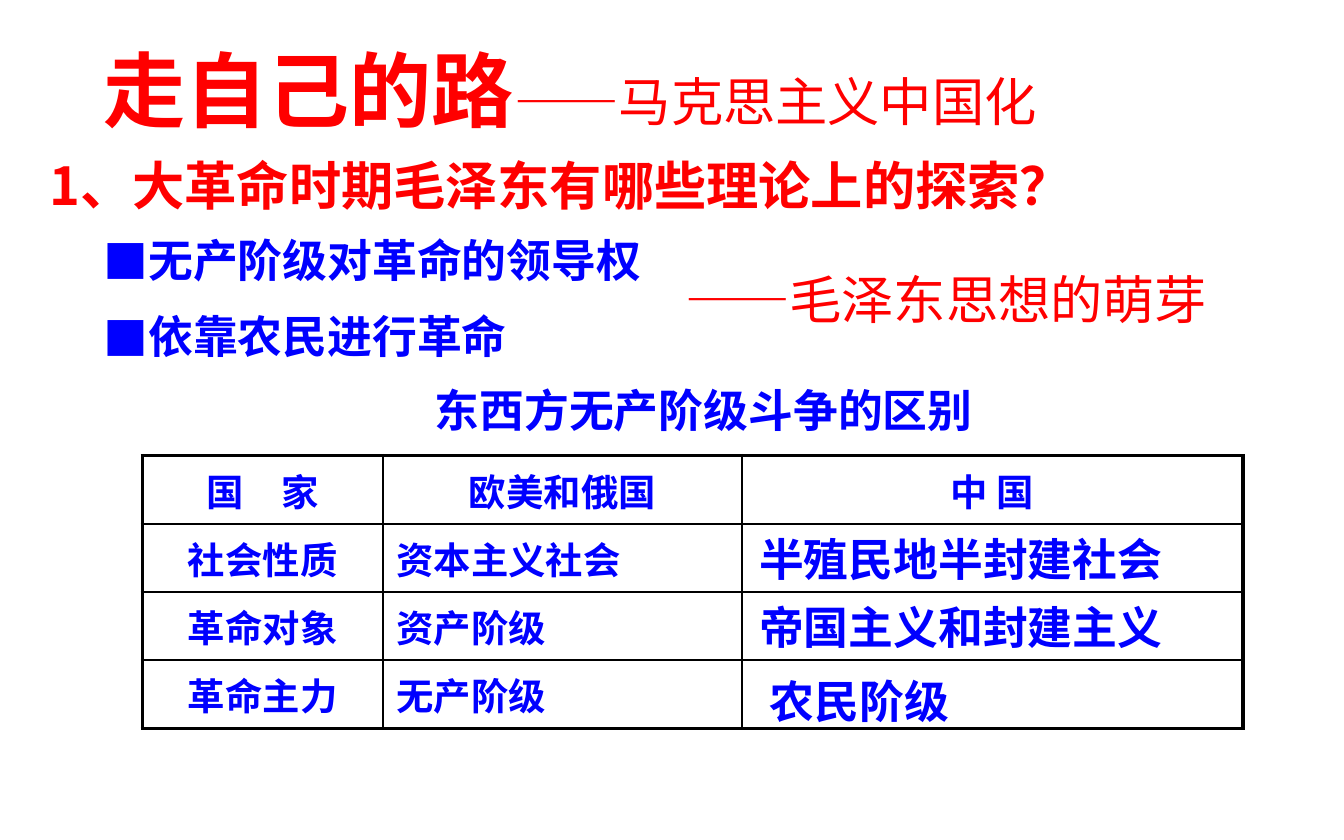
from dataclasses import dataclass

from lxml.etree import SubElement
from pptx import Presentation
from pptx.dml.color import RGBColor
from pptx.enum.text import MSO_ANCHOR, MSO_AUTO_SIZE, PP_ALIGN
from pptx.oxml.ns import qn
from pptx.util import Inches, Pt


@dataclass(frozen=True)
class Theme:
    red: RGBColor = RGBColor(255, 0, 0)
    blue: RGBColor = RGBColor(0, 0, 255)
    border: str = "000000"
    latin: str = "Arial"
    chinese: str = "Noto Sans CJK SC"
    title: int = 44
    heading: int = 28
    body: int = 24
    cell: int = 20
    outer_line: float = 2.25
    inner_line: float = 1


class SlideBuilder:
    COLUMNS, ROWS = 100, 62.5

    def __init__(self, deck, theme):
        self.theme = theme
        self.unit_x = deck.slide_width / self.COLUMNS
        self.unit_y = deck.slide_height / self.ROWS
        self.page = deck.slides.add_slide(deck.slide_layouts[1])

    def place(self, left, top, width, height):
        return (round(left * self.unit_x), round(top * self.unit_y),
                round(width * self.unit_x), round(height * self.unit_y))

    def style(self, para, color, name, size=None, bold=None):
        font = para.font
        font.name = name
        font.color.rgb = color
        if size:
            font.size = Pt(size)
        font.bold = bold
        properties = para._p.get_or_add_pPr().find(qn("a:defRPr"))
        latin = properties.find(qn("a:latin"))
        east_asian = SubElement(properties, qn("a:ea"), typeface=self.theme.chinese)
        latin.addnext(east_asian)

    def fit(self, shape, area):
        shape.left, shape.top, shape.width, shape.height = self.place(*area)
        frame = shape.text_frame
        frame.word_wrap = True
        frame.auto_size = MSO_AUTO_SIZE.NONE
        frame.vertical_anchor = MSO_ANCHOR.TOP
        return frame

    def title(self, area, main, subtitle):
        para = self.fit(self.page.shapes.title, area).paragraphs[0]
        para.alignment = PP_ALIGN.LEFT
        self.style(para, self.theme.red, self.theme.latin)
        for text, size, bold in ((main, self.theme.title, True),
                                 (subtitle, self.theme.heading, False)):
            span = para.add_run()
            span.text = text
            span.font.size = Pt(size)
            span.font.bold = bold

    def bullets(self, area, items):
        frame = self.fit(self.page.placeholders[1], area)
        indent = Pt(self.theme.body)
        for index, item in enumerate(items):
            para = frame.paragraphs[0] if index == 0 else frame.add_paragraph()
            para.text = item
            para.space_before = Pt(self.theme.body / 2 if index else 0)
            properties = para._p.get_or_add_pPr()
            properties.set("marL", str(indent))
            properties.set("indent", str(-indent))
            SubElement(properties, qn("a:buFont"), typeface=self.theme.chinese)
            SubElement(properties, qn("a:buChar"), char="■")
            self.style(para, self.theme.blue, self.theme.chinese, self.theme.body, True)

    def text(self, area, words, color, name, size, bold=True, align=PP_ALIGN.LEFT):
        box = self.page.shapes.add_textbox(*self.place(*area))
        para = self.fit(box, area).paragraphs[0]
        para.text = words
        para.alignment = align
        self.style(para, color, name, size, bold)

    def borders(self, cell, outer_sides):
        properties = cell._tc.get_or_add_tcPr()
        for side, is_outer in outer_sides.items():
            weight = self.theme.outer_line if is_outer else self.theme.inner_line
            line = SubElement(properties, qn(f"a:ln{side}"), w=str(Pt(weight)))
            fill = SubElement(line, qn("a:solidFill"))
            SubElement(fill, qn("a:srgbClr"), val=self.theme.border)

    def table(self, area, widths, rows):
        last_row, last_column = len(rows) - 1, len(widths) - 1
        table = self.page.shapes.add_table(len(rows), len(widths), *self.place(*area)).table
        table.first_row = table.horz_banding = False
        for column, width in zip(table.columns, widths):
            column.width = round(width * self.unit_x)
        for row, words in enumerate(rows):
            for column, word in enumerate(words):
                cell = table.cell(row, column)
                self.borders(cell, {"L": column == 0, "R": column == last_column,
                                    "T": row == 0, "B": row == last_row})
                cell.fill.background()
                cell.vertical_anchor = MSO_ANCHOR.MIDDLE
                cell.margin_top = cell.margin_bottom = Inches(0.04)
                if word:
                    para = cell.text_frame.paragraphs[0]
                    para.text = word
                    centered = row == 0 or column == 0
                    para.alignment = PP_ALIGN.CENTER if centered else PP_ALIGN.LEFT
                    self.style(para, self.theme.blue, self.theme.chinese,
                               self.theme.cell, True)


def main():
    deck = Presentation()
    deck.slide_width, deck.slide_height = Inches(10), Inches(6.25)
    theme = Theme()
    slide = SlideBuilder(deck, theme)

    slide.title((6.7, 2.4, 89.8, 8.4), "走自己的路", "——马克思主义中国化")
    slide.text((2.7, 10.9, 97.3, 5.7), "1、大革命时期毛泽东有哪些理论上的探索？",
               theme.red, theme.chinese, theme.heading)
    slide.bullets((6.7, 16.8, 91.4, 11.1), ("无产阶级对革命的领导权", "依靠农民进行革命"))
    slide.text((50, 19.4, 44.1, 5.7), "——毛泽东思想的萌芽",
               theme.red, theme.latin, theme.heading, bold=False)
    slide.table((10.6, 33.9, 81.9, 20.3), (17.9, 26.7, 37.3), (
        ("国　家", "欧美和俄国", "中 国"),
        ("社会性质", "资本主义社会", ""),
        ("革命对象", "资产阶级", ""),
        ("革命主力", "无产阶级", ""),
    ))
    slide.text((24.8, 28, 55.1, 5.1), "东西方无产阶级斗争的区别",
               theme.blue, theme.latin, theme.body, align=PP_ALIGN.CENTER)
    for left, top, answer in ((55.5, 39.1, "半殖民地半封建社会"),
                              (55.5, 44.1, "帝国主义和封建主义"),
                              (56.3, 49.6, "农民阶级")):
        slide.text((left, top, 36.2, 5.1), answer, theme.blue, theme.chinese, theme.body)

    deck.save("out.pptx")


if __name__ == "__main__":
    main()
